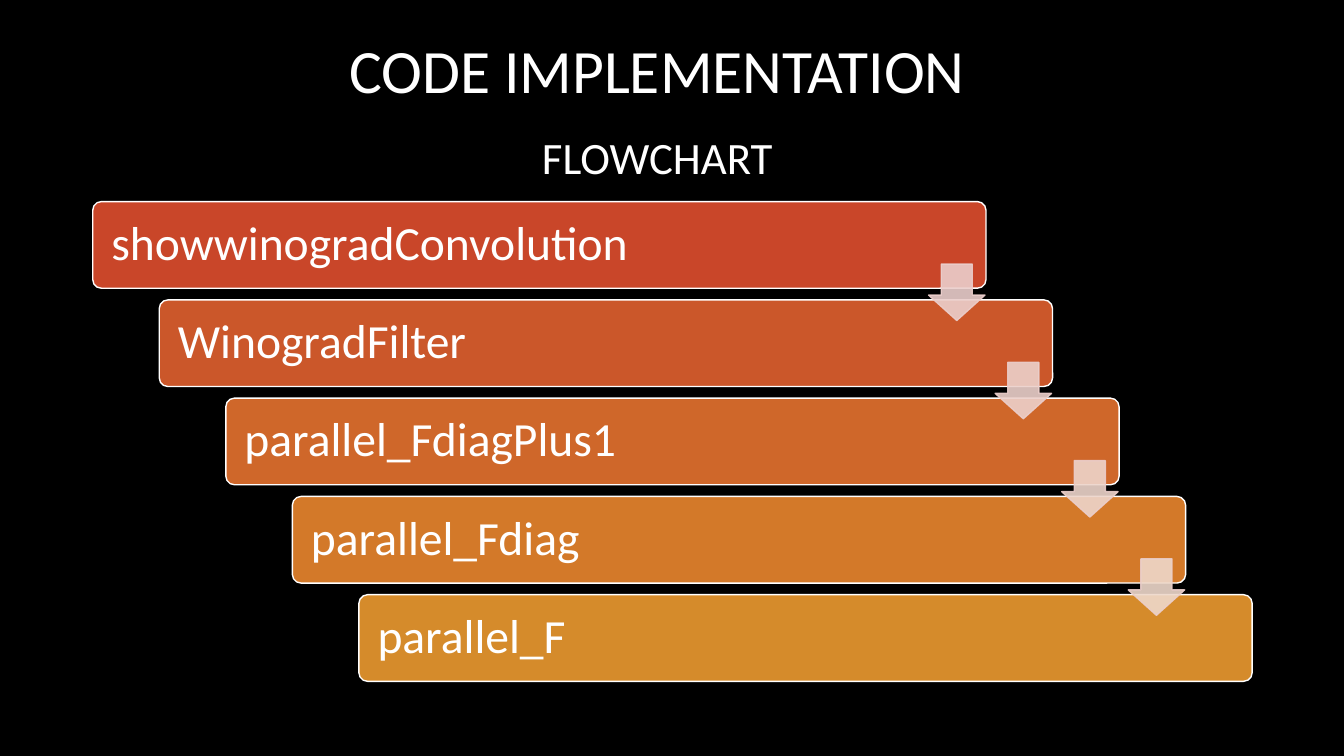
from lxml import etree
from pptx import Presentation
from pptx.dml.color import RGBColor
from pptx.enum import shapes, text
from pptx.oxml import ns
from pptx.util import Inches, Pt

BLACK = RGBColor(0x00, 0x00, 0x00)
WHITE = RGBColor(0xFF, 0xFF, 0xFF)
ARROW_LINE = RGBColor(0xEB, 0xCE, 0xCB)
STEPS = [
    ("showwinogradConvolution", RGBColor(0xC9, 0x46, 0x29)),
    ("WinogradFilter", RGBColor(0xCB, 0x57, 0x2A)),
    ("parallel_FdiagPlus1", RGBColor(0xCF, 0x67, 0x2A)),
    ("parallel_Fdiag", RGBColor(0xD3, 0x79, 0x29)),
    ("parallel_F", RGBColor(0xD5, 0x8B, 0x2B)),
]
ARROW_FILLS = [
    RGBColor(0xEB, 0xCE, 0xCB),
    RGBColor(0xEC, 0xD0, 0xCA),
    RGBColor(0xED, 0xD4, 0xCA),
    RGBColor(0xEE, 0xD8, 0xCA),
]
STEP_X, STEP_Y = 0.66, 0.975


def set_all(obj, values):
    """Set each attribute in values on obj."""
    for name, value in values.items():
        setattr(obj, name, value)


def write(sp, words, size, align, frame, spacing=0.9):
    """Write one white paragraph in a shape."""
    tf = sp.text_frame
    set_all(tf, {"word_wrap": True, **frame})
    p = tf.paragraphs[0]
    set_all(p, {"alignment": align, "line_spacing": spacing})
    r = p.add_run()
    r.text = words
    set_all(r.font, {"name": "Calibri", "size": Pt(size)})
    r.font.color.rgb = WHITE


def add_heading(slide, box, words, size, anchor, spacing):
    """Add a centred heading."""
    sp = slide.shapes.add_textbox(*map(Inches, box))
    write(sp, words, size, text.PP_ALIGN.CENTER, {"vertical_anchor": anchor}, spacing)


def add_block(slide, kind, box, adjustments, fill, line):
    """Add a filled and outlined preset shape."""
    sp = slide.shapes.add_shape(kind, *map(Inches, box))
    sp.shadow.inherit = False
    for i, value in enumerate(adjustments):
        sp.adjustments[i] = value
    sp.fill.solid()
    sp.fill.fore_color.rgb = fill
    sp.line.color.rgb = line
    sp.line.width = Pt(1)
    return sp


def add_step(slide, i, words, fill):
    """Add one labelled bar of the staircase."""
    box = (0.92 + i * STEP_X, 2 + i * STEP_Y, 8.86, 0.86)
    sp = add_block(slide, shapes.MSO_SHAPE.ROUNDED_RECTANGLE, box, [0.1], fill, WHITE)
    frame = {
        "vertical_anchor": text.MSO_ANCHOR.MIDDLE,
        "margin_left": Inches(0.16),
        "margin_right": Inches(0.16),
    }
    write(sp, words, 34, text.PP_ALIGN.LEFT, frame)


def add_arrow(slide, i, fill):
    """Add a translucent arrow to the next bar."""
    box = (9.21 + i * STEP_X, 2.62 + i * STEP_Y, 0.56, 0.56)
    sp = add_block(slide, shapes.MSO_SHAPE.DOWN_ARROW, box, [0.55, 0.45], fill, ARROW_LINE)
    for color in sp._element.spPr.iter(ns.qn("a:srgbClr")):
        etree.SubElement(color, ns.qn("a:alpha"), val="90000")


def main():
    """Build the flowchart slide."""
    prs = Presentation()
    set_all(prs, {"slide_width": Inches(13.33), "slide_height": Inches(7.5)})
    slide = prs.slides.add_slide(prs.slide_layouts[6])
    slide.background.fill.solid()
    slide.background.fill.fore_color.rgb = BLACK
    add_heading(slide, (0.77, 0, 11.5, 1.45), "CODE IMPLEMENTATION", 44,
                text.MSO_ANCHOR.MIDDLE, 0.9)
    add_heading(slide, (5.02, 1.24, 3, 0.64), "FLOWCHART", 32,
                text.MSO_ANCHOR.TOP, 1.0)
    for i, (words, fill) in enumerate(STEPS):
        add_step(slide, i, words, fill)
    for i, fill in enumerate(ARROW_FILLS):
        add_arrow(slide, i, fill)
    prs.save("out.pptx")


if __name__ == "__main__":
    main()
